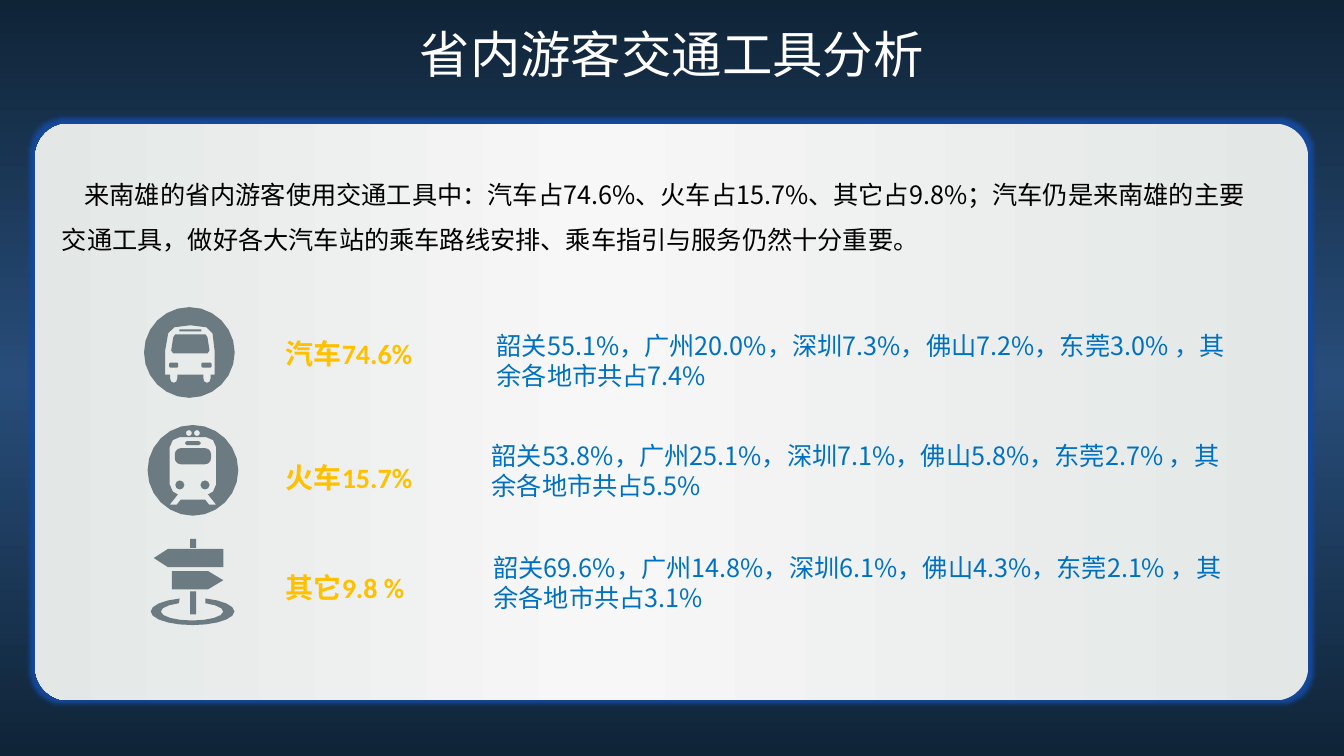
from math import cos, pi, sin

from lxml.etree import SubElement
from pptx import Presentation
from pptx.dml.color import RGBColor
from pptx.enum.shapes import MSO_SHAPE as Preset
from pptx.enum.text import MSO_ANCHOR as Anchor, MSO_AUTO_SIZE as AutoSize, PP_ALIGN as Align
from pptx.oxml.ns import qn
from pptx.util import Cm, Pt

WHITE = RGBColor(0xFF, 0xFF, 0xFF)
BLACK = RGBColor(0x00, 0x00, 0x00)
GOLD = RGBColor(0xFF, 0xC0, 0x00)
BLUE = RGBColor(0x00, 0x70, 0xC0)
SLATE = RGBColor(0x6C, 0x7A, 0x81)
NAVY = RGBColor(0x0F, 0x24, 0x37)
STEEL = RGBColor(0x28, 0x4D, 0x7A)
MIST = RGBColor(0xE3, 0xE7, 0xE5)
PEARL = RGBColor(0xF7, 0xF7, 0xF7)
GLOW = RGBColor(0x15, 0x48, 0x9C)

CJK_FONT = "Noto Sans CJK SC"
LABEL_FONT = "Calibri"
ICON_UNIT = Cm(0.0254)


def arc(center_x, center_y, radius_x, radius_y, start, end, steps):
    angles = [(start + (end - start) * step / steps) * pi / 180 for step in range(steps + 1)]
    return [(center_x + radius_x * cos(a), center_y + radius_y * sin(a)) for a in angles]


def circle(center_x, center_y, radius, steps=8):
    return arc(center_x, center_y, radius, radius, 0, 360, steps)[:-1]


def box(left, top, right, bottom, radius):
    corners = [(right - radius, bottom - radius), (left + radius, bottom - radius),
               (left + radius, top + radius), (right - radius, top + radius)]
    return [point for index, (x, y) in enumerate(corners)
            for point in arc(x, y, radius, radius, index * 90, index * 90 + 90, 1 + radius // 3)]


DISC = circle(45, 45, 45, 24)
BUS = [
    DISC,
    [(70, 67), (66, 67), (66, 71), (65, 74), (62.5, 75), (60, 74), (59, 71), (59, 67),
     (33, 67), (33, 71), (32, 74), (29.5, 75), (27, 74), (26, 71), (26, 67), (21, 67),
     (21, 43), (24, 26), (30, 20), (46, 18), (62, 20), (68, 26), (70, 43)],
    [(29, 46), (63, 46), (65, 43), (63, 30), (61, 27), (31, 27), (29, 30), (27, 43)],
    [(35, 22), (57, 22), (57, 24), (35, 24)],
    box(25, 55, 34, 60, 1),
    box(57, 55, 67, 60, 1),
]
TRAIN = [
    DISC,
    circle(41, 8, 3),
    circle(49, 8, 3),
    [(68, 59), (65, 66), (60, 69), (68, 79), (61, 79), (57, 74), (33, 74), (29, 79),
     (22, 79), (30, 69), (25, 66), (22, 59), (22, 22), (25, 15), (32, 12), (58, 12),
     (65, 15), (68, 22)],
    box(37, 16, 53, 20, 2),
    box(27, 23, 63, 39, 6),
    circle(32, 59.5, 4.5),
    circle(57, 59.5, 4.5),
]
SIGNPOST = [
    [(72, 28), (72, 10), (17, 10), (3, 19), (17, 28)],
    [(72, 41), (57, 32), (21, 32), (21, 50), (57, 50)],
    [(39, 0), (45, 0), (45, 9), (39, 9)],
    [(39, 52), (45, 52), (45, 75), (39, 75)],
    arc(41.5, 72, 41.5, 13.5, -72, 252, 18) + arc(41, 72, 31, 9, 245, -65, 14),
]

ROWS = [
    (BUS, 3.63, 7.74, "汽车74.6%", 8.36, 12.27, 8.19,
     "韶关55.1%，广州20.0%，深圳7.3%，佛山7.2%，东莞3.0% ，其余各地市共占7.4%"),
    (TRAIN, 3.72, 10.71, "火车15.7%", 11.48, 12.14, 10.97,
     "韶关53.8%，广州25.1%，深圳7.1%，佛山5.8%，东莞2.7% ，其余各地市共占5.5%"),
    (SIGNPOST, 3.8, 13.58, "其它9.8 %", 14.25, 12.19, 13.79,
     "韶关69.6%，广州14.8%，深圳6.1%，佛山4.3%，东莞2.1% ，其余各地市共占3.1%"),
]


def set_gradient(fill, element, angle, stops):
    fill.gradient()
    fill.gradient_angle = angle
    stop_list = next(element.iter(qn("a:gsLst")))
    for stop in list(stop_list):
        stop_list.remove(stop)
    for position, color in stops:
        stop = SubElement(stop_list, qn("a:gs"), pos=str(position * 1000))
        SubElement(stop, qn("a:srgbClr"), val=str(color))


def add_panel(slide):
    panel = slide.shapes.add_shape(Preset.ROUNDED_RECTANGLE, Cm(0.89), Cm(3.12), Cm(32.08), Cm(14.53))
    panel.adjustments[0] = 0.058
    panel.line.fill.background()
    panel.shadow.inherit = False
    set_gradient(panel.fill, panel._element, 180, [(0, MIST), (1, MIST), (56, PEARL), (100, MIST)])
    effects = panel._element.spPr.find(qn("a:effectLst"))
    glow = SubElement(effects, qn("a:glow"), rad=str(Pt(7)))
    SubElement(glow, qn("a:srgbClr"), val=str(GLOW))


def add_text(slide, text, left, top, width, height, size, color, font_name=CJK_FONT, bold=False):
    shape = slide.shapes.add_textbox(Cm(left), Cm(top), Cm(width), Cm(height))
    text_frame = shape.text_frame
    text_frame.word_wrap = True
    text_frame.auto_size = AutoSize.SHAPE_TO_FIT_TEXT
    text_frame.text = text
    run = text_frame.paragraphs[0].runs[0]
    run.font.size = Pt(size)
    run.font.bold = bold
    run.font.color.rgb = color
    run.font.name = font_name
    SubElement(run._r.get_or_add_rPr(), qn("a:ea"), typeface=CJK_FONT)
    return text_frame


def add_title(slide, text):
    text_frame = add_text(slide, text, 4.37, 0.64, 25.12, 1.6, 36, WHITE)
    text_frame.auto_size = AutoSize.NONE
    text_frame.vertical_anchor = Anchor.MIDDLE
    text_frame.paragraphs[0].alignment = Align.CENTER
    text_frame.paragraphs[0].line_spacing = 0.9


def add_summary(slide, text):
    paragraph = add_text(slide, text, 1.31, 4.01, 30.73, 2.57, 18, BLACK).paragraphs[0]
    paragraph.line_spacing = 1.5
    paragraph._p.get_or_add_pPr().set("indent", str(Cm(0.57)))


def add_icon(slide, contours, left, top):
    scaled = [[(x * ICON_UNIT, y * ICON_UNIT) for x, y in contour] for contour in contours]
    builder = slide.shapes.build_freeform(*scaled[0][0])
    builder.add_line_segments(scaled[0][1:])
    for contour in scaled[1:]:
        builder.move_to(*contour[0])
        builder.add_line_segments(contour[1:])
    icon = builder.convert_to_shape(Cm(left), Cm(top))
    icon.fill.solid()
    icon.fill.fore_color.rgb = SLATE
    icon.line.fill.background()
    icon.shadow.inherit = False


def main():
    presentation = Presentation()
    presentation.slide_width = Cm(33.87)
    presentation.slide_height = Cm(19.05)
    slide = presentation.slides.add_slide(presentation.slide_layouts[6])
    set_gradient(slide.background.fill, slide._element, 270, [(0, NAVY), (50, STEEL), (100, NAVY)])
    add_panel(slide)
    add_title(slide, "省内游客交通工具分析")
    add_summary(slide, "来南雄的省内游客使用交通工具中：汽车占74.6%、火车占15.7%、其它占9.8%；"
                       "汽车仍是来南雄的主要交通工具，做好各大汽车站的乘车路线安排、乘车指引与服务仍然十分重要。")
    for contours, icon_left, icon_top, label, label_top, detail_left, detail_top, detail in ROWS:
        add_icon(slide, contours, icon_left, icon_top)
        add_text(slide, label, 6.95, label_top, 5.33, 1.12, 20, GOLD, LABEL_FONT, True)
        add_text(slide, detail, detail_left, detail_top, 19.3, 1.8, 18, BLUE)
    presentation.save("out.pptx")


if __name__ == "__main__":
    main()
